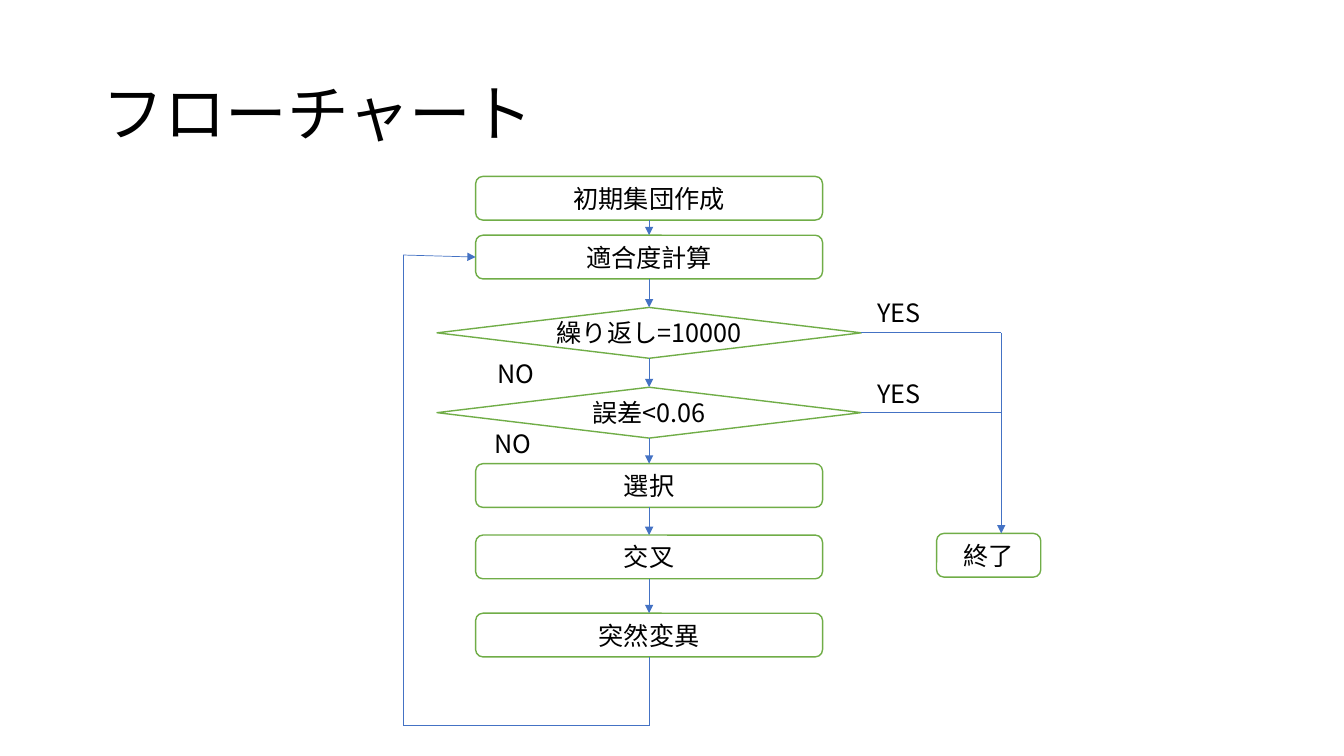
from itertools import pairwise

from lxml.etree import SubElement
from pptx import Presentation
from pptx.dml.color import RGBColor
from pptx.enum.shapes import MSO_CONNECTOR, MSO_SHAPE
from pptx.enum.text import MSO_ANCHOR, MSO_AUTO_SIZE, PP_ALIGN
from pptx.oxml.ns import qn
from pptx.util import Inches, Pt

COLORS = {"paper": "FFFFFF", "text": "000000", "border": "70AD47", "arrow": "4472C4"}
FONT = "Noto Sans CJK JP"
COLUMNS, ROWS = 160, 90

CENTER = 77.28
BOX = (MSO_SHAPE.ROUNDED_RECTANGLE, 41.3, 5.2)
DECISION = (MSO_SHAPE.FLOWCHART_DECISION, 50.5, 6.05)
STEPS = [
    ("初期集団作成", BOX, 21),
    ("適合度計算", BOX, 28),
    ("繰り返し=10000", DECISION, 36.6),
    ("誤差<0.06", DECISION, 46.1),
    ("選択", BOX, 55.2),
    ("交叉", BOX, 63.7),
    ("突然変異", BOX, 73),
]
LABELS = [
    ("YES", 103.3, 34.8, 8.2),
    ("YES", 103.3, 44.5, 8.2),
    ("NO", 58, 42.1, 7),
    ("NO", 57.7, 50.4, 7),
]
END_LEFT, END_TOP, END_WIDTH = 111.5, 63.5, 12.4
EXIT_COLUMN = 119.2
LOOP_COLUMN, LOOP_BOTTOM, LOOP_TOP = 48, 86.4, 30.36


def set_attributes(target, values):
    for name, value in values.items():
        setattr(target, name, value)


class FlowchartSlide:
    def __init__(self, presentation):
        self.column = presentation.slide_width / COLUMNS
        self.row = presentation.slide_height / ROWS
        self.slide = presentation.slides.add_slide(presentation.slide_layouts[5])
        background = self.slide.background.fill
        background.solid()
        background.fore_color.rgb = self.color("paper")

    def color(self, name):
        return RGBColor.from_string(COLORS[name])

    def place(self, *lengths):
        """Turn alternating columns and rows into slide lengths."""
        units = (self.column, self.row) * 2
        return [round(length * unit) for length, unit in zip(lengths, units)]

    def add_text(self, shape, text, size, frame_format, paragraph_format):
        set_attributes(shape.text_frame, frame_format)
        paragraph = shape.text_frame.paragraphs[0]
        set_attributes(paragraph, paragraph_format)
        run = paragraph.add_run()
        run.text = text
        set_attributes(run.font, {"name": FONT, "size": Pt(size)})
        run.font.color.rgb = self.color("text")
        SubElement(run.font._element, qn("a:ea"), typeface=FONT)

    def title(self, text, left, top, width, height):
        shape = self.slide.shapes.title
        names = ("left", "top", "width", "height")
        set_attributes(shape, dict(zip(names, self.place(left, top, width, height))))
        self.add_text(shape, text, 44,
                      {"vertical_anchor": MSO_ANCHOR.MIDDLE, "auto_size": MSO_AUTO_SIZE.NONE},
                      {"alignment": PP_ALIGN.LEFT, "line_spacing": 0.9})

    def step(self, text, preset, left, top, width, height):
        shape = self.slide.shapes.add_shape(preset, *self.place(left, top, width, height))
        shape.shadow.inherit = False
        shape.fill.solid()
        shape.fill.fore_color.rgb = self.color("paper")
        shape.line.color.rgb = self.color("border")
        shape.line.width = Pt(1)
        self.add_text(shape, text, 18,
                      {"vertical_anchor": MSO_ANCHOR.MIDDLE, "margin_left": 0, "margin_right": 0},
                      {"alignment": PP_ALIGN.CENTER})

    def label(self, text, left, top, width):
        shape = self.slide.shapes.add_textbox(*self.place(left, top, width, 4.85))
        self.add_text(shape, text, 18,
                      {"word_wrap": False, "auto_size": MSO_AUTO_SIZE.SHAPE_TO_FIT_TEXT}, {})

    def route(self, *points, arrow=True):
        """Join the points with straight lines, the last one with an arrowhead."""
        segments = list(pairwise(points))
        for index, (start, end) in enumerate(segments, 1):
            connector = self.slide.shapes.add_connector(
                MSO_CONNECTOR.STRAIGHT, *self.place(*start, *end))
            connector.line.color.rgb = self.color("arrow")
            connector.line.width = Pt(0.5)
            properties = connector._element.spPr
            if arrow and index == len(segments):
                SubElement(properties.find(qn("a:ln")), qn("a:tailEnd"), type="triangle")
            SubElement(properties, qn("a:effectLst"))


def main():
    presentation = Presentation()
    set_attributes(presentation, {"slide_width": Inches(13.333), "slide_height": Inches(7.5)})
    chart = FlowchartSlide(presentation)
    chart.title("フローチャート", 11, 5.2, 138, 17.4)

    for text, (preset, width, height), top in STEPS:
        chart.step(text, preset, CENTER - width / 2, top, width, height)
    chart.step("終了", BOX[0], END_LEFT, END_TOP, END_WIDTH, BOX[2])

    for (_, (_, _, height), top), (_, _, next_top) in pairwise(STEPS):
        chart.route((CENTER, top + height), (CENTER, next_top))

    box_width, box_height = BOX[1:]
    chart.route((CENTER, STEPS[-1][2] + box_height), (CENTER, LOOP_BOTTOM),
                (LOOP_COLUMN, LOOP_BOTTOM), (LOOP_COLUMN, LOOP_TOP),
                (CENTER - box_width / 2, STEPS[1][2] + box_height / 2))

    decision_right = CENTER + DECISION[1] / 2
    first_exit, second_exit = (top + DECISION[2] / 2
                               for _, kind, top in STEPS if kind is DECISION)
    chart.route((decision_right, first_exit), (EXIT_COLUMN, first_exit),
                (EXIT_COLUMN, END_TOP))
    chart.route((decision_right, second_exit), (EXIT_COLUMN, second_exit), arrow=False)

    for label in LABELS:
        chart.label(*label)
    presentation.save("out.pptx")


if __name__ == "__main__":
    main()
